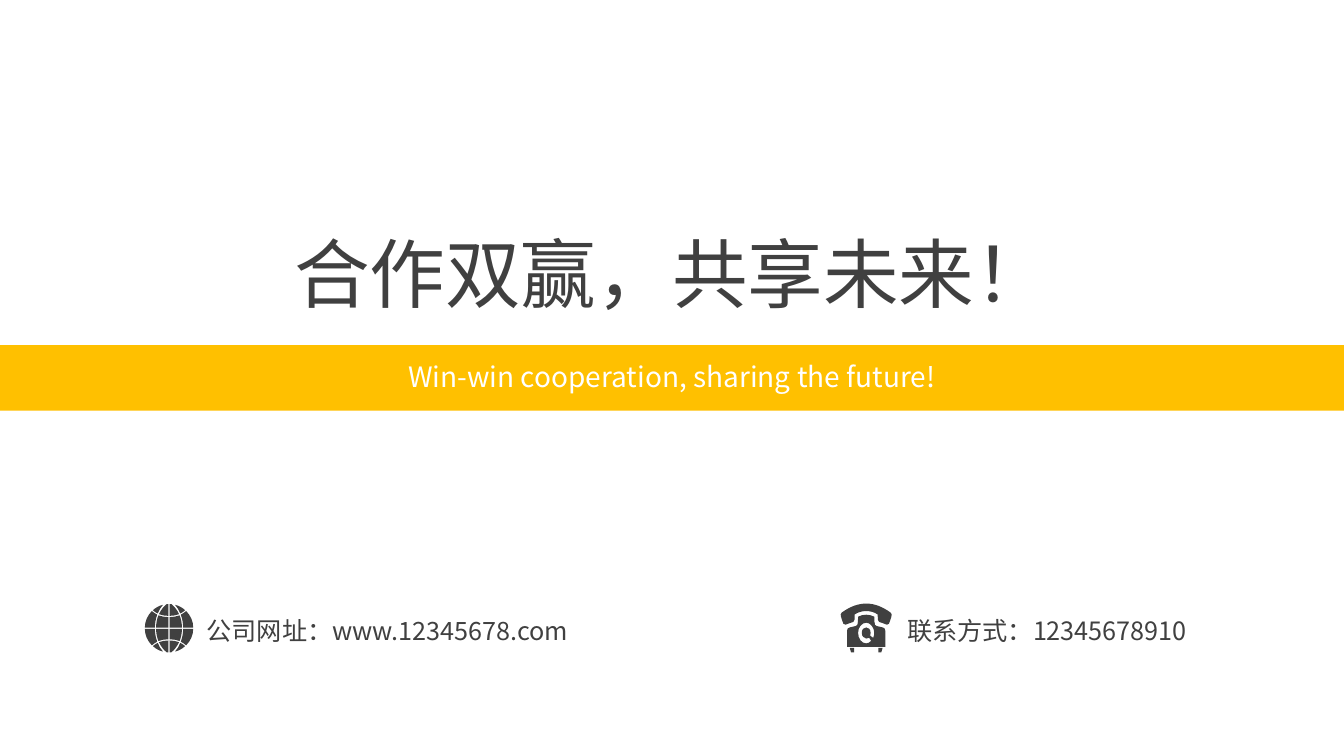
from lxml import etree
from pptx import Presentation
from pptx import util as u
from pptx.dml.color import RGBColor
from pptx.enum import shapes, text
from pptx.oxml.ns import qn

FONT = "Noto Sans CJK SC"
DARK, AMBER, WHITE = "404040", "FFC000", "FFFFFF"
ICON_UNIT = u.Cm(0.0254)  # icon outlines are drawn on this grid
FINE = 100  # steps per grid unit
SIDES = (1, -1)

# Outlines: a start point, then lines (2 numbers) or Bézier curves (6 numbers).
GLOBE_QUADRANT = [
    [(0.6, 0.6), (12.8, 0.6), (12.8, 5, 12, 9, 10.5, 12.7),
     (7.5, 11.6, 4, 11, 0.6, 11)],
    [(14, 0.6), (24, 0.6), (24, 7, 21.3, 12.6, 17, 17),
     (15.5, 15.7, 13.7, 14.5, 11.7, 13.4), (13.2, 9.5, 14, 5, 14, 0.6)],
    [(0.6, 12.2), (4, 12.2, 7, 12.8, 10, 13.9),
     (8, 18, 5.5, 21.5, 2.2, 24), (0.6, 24)],
    [(11.2, 14.6), (13, 15.4, 14.6, 16.5, 16, 17.8),
     (13.3, 20.3, 9.9, 22.3, 6, 23.2), (8.2, 20.8, 9.9, 17.9, 11.2, 14.6)],
]
HANDSET_HALF = [
    (24.3, 9), (25.4, 10, 25.6, 11, 25, 13),
    (24.3, 15, 23.6, 18, 22.6, 20), (22, 21, 21.5, 21.3, 20.5, 21),
    (18, 20, 15.5, 19, 12.8, 18.2), (12, 18, 11.6, 17, 11.6, 16),
    (11.5, 14, 11.5, 12, 11.4, 10.8),
]
HANDSET_BOTTOM = (5, 6.3, -5, 6.3, -11.4, 10.8)
HANDSET_TOP = (-8, -3, 8, -3, 24.3, 9)
BODY_HALF = [
    (8, 13), (8.2, 15, 8.2, 16.5, 8.2, 18.2),
    (8.2, 21, 9, 22, 10.3, 22.2), (12, 22.6, 14, 23.2, 16.5, 23.7),
    (18, 24, 19, 25, 19, 27), (19, 43),
]
BODY_BOTTOM = (-19, 43)
BODY_TOP = (-3, 10.4, 3, 10.4, 8, 13)
DIAL = [
    (0, 19), (2, 19, 4, 20, 5.5, 22), (7, 24, 8, 26, 8, 29),
    (8, 31, 7.6, 32.5, 7, 34), (4, 32), (4.2, 31, 4.4, 30, 4.4, 29),
    (4.4, 27.5, 4, 26, 3, 25), (2, 24, 1, 23.7, 0, 23.7),
    (-1, 23.7, -2, 24, -3, 25), (-4, 26, -4.3, 27.5, -4.3, 29),
    (-4.3, 31, -4, 32, -3, 33), (-2, 34.2, -1, 34.7, 0, 34.7),
    (1, 34.7, 2, 34.5, 3, 34), (5, 37), (3.5, 38.5, 2, 39.5, 0, 39.5),
    (-2, 39.5, -4, 38.5, -5.6, 36.6), (-7.2, 34.5, -8, 32, -8, 29),
    (-8, 26, -7.2, 24, -5.6, 22), (-4, 20, -2, 19, 0, 19),
]
FOOT = [(16.3, 44), (12, 44), (12, 48.5), (15, 48.5)]


def color(hex_code):
    return RGBColor.from_string(hex_code)


def paint(shape, fill):
    shape.shadow.inherit = False
    shape.fill.solid()
    shape.fill.fore_color.rgb = color(fill)
    shape.line.fill.background()


def mirror(outline, x_sign, y_sign=1):
    signs = (x_sign, y_sign) * 3
    return [tuple(value * sign for value, sign in zip(segment, signs))
            for segment in outline]


def points_of(segment):
    return list(zip(segment[::2], segment[1::2]))


def backwards(outline):
    """Segments that lead from the end of the outline back to its start."""
    segments = []
    for before, segment in reversed(list(zip(outline, outline[1:]))):
        controls = points_of(segment)[:-1][::-1] + [before[-2:]]
        segments.append(tuple(value for point in controls for value in point))
    return segments


def symmetric(right_half, bottom, top):
    return [*right_half, bottom, *backwards(mirror(right_half, -1)), top]


def globe_outlines():
    return [mirror(panel, x_sign, y_sign) for panel in GLOBE_QUADRANT
            for x_sign in SIDES for y_sign in SIDES]


def phone_outlines():
    feet = [mirror(FOOT, side) for side in SIDES]
    return [symmetric(HANDSET_HALF, HANDSET_BOTTOM, HANDSET_TOP),
            symmetric(BODY_HALF, BODY_BOTTOM, BODY_TOP), DIAL, *feet]


def bend(icon, segments):
    """Join each three lines that stand for a curve into a Bézier curve."""
    lines = iter(list(icon._element.iter(qn("a:lnTo"))))
    for segment in segments:
        line = next(lines)
        if len(segment) == 6:
            line.tag = qn("a:cubicBezTo")
            for _ in range(2):
                extra = next(lines)
                line.append(extra[0])
                extra.getparent().remove(extra)


def add_icon(slide, outlines, x, y):
    """Draw closed outlines as one shape whose grid origin lies at x, y."""
    builder = None
    for outline in outlines:
        points = [(round(px * FINE), round(py * FINE))
                  for segment in outline for px, py in points_of(segment)]
        if builder is None:
            builder = slide.shapes.build_freeform(*points[0],
                                                  scale=ICON_UNIT / FINE)
        else:
            builder.move_to(*points[0])
        builder.add_line_segments(points[1:], close=False)
    icon = builder.convert_to_shape(u.Cm(x), u.Cm(y))
    bend(icon, [segment for outline in outlines for segment in outline[1:]])
    paint(icon, DARK)


def add_band(slide, left, top, width, height):
    band = slide.shapes.add_shape(shapes.MSO_SHAPE.RECTANGLE, u.Cm(left),
                                  u.Cm(top), u.Cm(width), u.Cm(height))
    paint(band, AMBER)


def add_label(slide, wording, left, top, width, height, size, ink=DARK):
    frame = slide.shapes.add_textbox(u.Cm(left), u.Cm(top), u.Cm(width),
                                     u.Cm(height)).text_frame
    frame.word_wrap = True
    frame.auto_size = text.MSO_AUTO_SIZE.SHAPE_TO_FIT_TEXT
    paragraph = frame.paragraphs[0]
    paragraph.alignment = text.PP_ALIGN.CENTER
    run = paragraph.add_run()
    run.text = wording
    run.font.size = u.Pt(size)
    run.font.color.rgb = color(ink)
    run.font.name = FONT
    east_asian = etree.SubElement(run.font._element, qn("a:ea"))
    east_asian.set("typeface", FONT)


def main():
    deck = Presentation()
    deck.slide_width, deck.slide_height = u.Cm(33.87), u.Cm(19.05)
    slide = deck.slides.add_slide(deck.slide_layouts[6])

    add_band(slide, -0.13, 8.7, 34.01, 1.65)
    add_label(slide, "Win-win cooperation, sharing the future!",
              6.51, 8.94, 20.85, 1.17, 20, WHITE)
    add_label(slide, "合作双赢，共享未来！", 4.53, 5.59, 24.82, 2.54, 54)

    contacts = [("公司网址：www.12345678.com", 2.55),
                ("联系方式：12345678910", 19.17)]
    for wording, left in contacts:
        add_label(slide, wording, left, 15.37, 14.43, 1.07, 18)
    add_icon(slide, globe_outlines(), 4.26, 15.83)
    add_icon(slide, phone_outlines(), 21.83, 15.21)

    deck.save("out.pptx")


if __name__ == "__main__":
    main()
